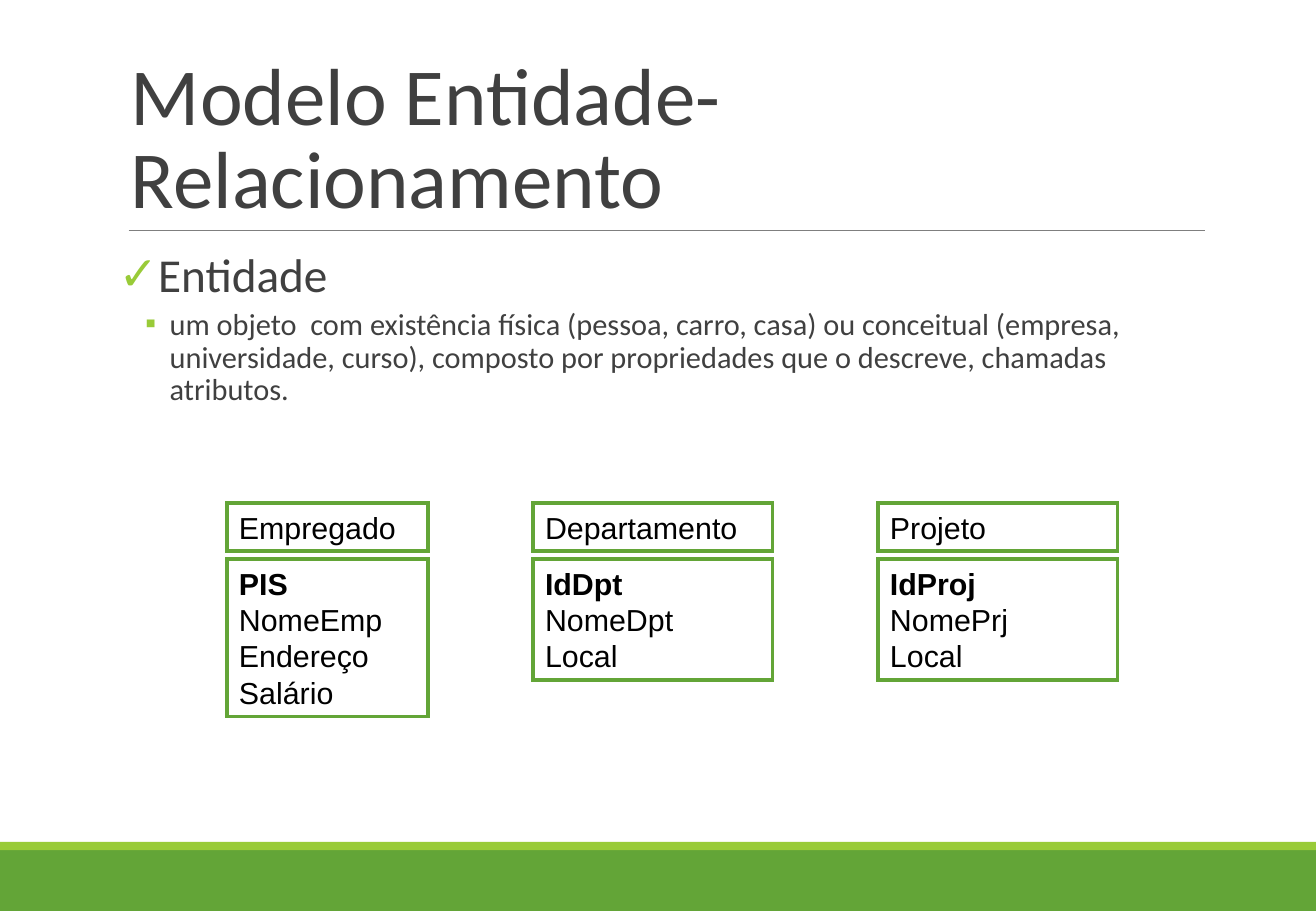
import pptx
import pptx.util
from lxml import etree
from pptx.dml.color import RGBColor
from pptx.enum.shapes import MSO_CONNECTOR, MSO_SHAPE
from pptx.enum.text import MSO_ANCHOR, PP_ALIGN
from pptx.oxml.ns import qn

Pt = pptx.util.Pt

COLORS = {
    "green": "63A537",
    "lime": "99CB38",
    "rule": "7F7F7F",
    "text": "404040",
    "black": "000000",
}
PAGE_WIDTH, PAGE_HEIGHT = 780.13, 540
HEADER_TOP, ATTRIBUTES_TOP = 298, 331.2
LINE_PITCH, INSET_X, INSET_Y = 21.6, 7.2, 3.6

# Left, width, name and attributes (key first) of each entity
ENTITIES = [
    (134.6, 119, "Empregado", ["PIS", "NomeEmp", "Endereço", "Salário"]),
    (316, 142, "Departamento", ["IdDpt", "NomeDpt", "Local"]),
    (520.5, 142, "Projeto", ["IdProj", "NomePrj", "Local"]),
]


def color(name):
    return RGBColor.from_string(COLORS[name])


def set_font(paragraph, name, size, color_name, bold=False):
    font = paragraph.font
    font.name = name
    font.size = Pt(size)
    font.bold = bold
    font.color.rgb = color(color_name)


def set_frame(shape, inset_x, inset_y, anchor=MSO_ANCHOR.TOP):
    frame = shape.text_frame
    frame.word_wrap = True
    frame.vertical_anchor = anchor
    frame.margin_left = frame.margin_right = Pt(inset_x)
    frame.margin_top = frame.margin_bottom = Pt(inset_y)
    return frame


def place(shape, left, top, width, height):
    shape.left, shape.top = Pt(left), Pt(top)
    shape.width, shape.height = Pt(width), Pt(height)


def add_band(page, top, height, color_name):
    band = page.shapes.add_shape(
        MSO_SHAPE.RECTANGLE, 0, Pt(top), Pt(PAGE_WIDTH), Pt(height))
    band.shadow.inherit = False
    band.fill.solid()
    band.fill.fore_color.rgb = color(color_name)
    band.line.fill.background()


def add_rule(page, left, right, top):
    rule = page.shapes.add_connector(
        MSO_CONNECTOR.STRAIGHT, Pt(left), Pt(top), Pt(right), Pt(top))
    rule.line.color.rgb = color("rule")
    rule.line.width = Pt(0.5)
    etree.SubElement(rule._element.spPr, qn("a:effectLst"))


def set_title(page, text):
    title = page.shapes.title
    place(title, 70.4, 22.3, 665.3, 114.5)
    frame = set_frame(title, INSET_X, INSET_Y, MSO_ANCHOR.BOTTOM)
    frame.text = text
    paragraph = frame.paragraphs[0]
    paragraph.alignment = PP_ALIGN.LEFT
    paragraph.line_spacing = 0.85
    set_font(paragraph, "Calibri", 48, "text")


def set_bullet(paragraph, symbol, left, hanging):
    properties = paragraph._p.get_or_add_pPr()
    properties.set("marL", str(Pt(left)))
    properties.set("indent", str(-Pt(hanging)))
    bullet_color = etree.SubElement(properties, qn("a:buClr"))
    etree.SubElement(bullet_color, qn("a:srgbClr"), val=COLORS["lime"])
    etree.SubElement(properties, qn("a:buFont"), typeface="Calibri")
    etree.SubElement(properties, qn("a:buChar"), char=symbol)


def add_bullet_item(paragraph, text, symbol, left, hanging, size, after):
    paragraph.text = text
    set_bullet(paragraph, symbol, left, hanging)
    paragraph.line_spacing = 0.9
    paragraph.space_after = Pt(after)
    set_font(paragraph, "Calibri", size, "text")


def add_definition(page, term, meaning):
    box = page.shapes.add_textbox(Pt(70.4), Pt(145.4), Pt(643.7), Pt(316.8))
    frame = set_frame(box, 0, INSET_Y)
    add_bullet_item(frame.paragraphs[0], term, "✓", 7.2, 7.2, 28, 2)
    detail = frame.add_paragraph()
    detail.level = 1
    add_bullet_item(detail, meaning, "▪", 30.2, 14.4, 18, 4)
    detail.space_before = Pt(2)


def add_entity_box(group, left, top, width, lines, bold_first=False):
    height = len(lines) * LINE_PITCH + 2 * INSET_Y
    box = group.shapes.add_shape(
        MSO_SHAPE.RECTANGLE, Pt(left), Pt(top), Pt(width), Pt(height))
    box.shadow.inherit = False
    box.fill.background()
    box.line.color.rgb = color("green")
    box.line.width = Pt(2.25)
    etree.SubElement(box.line._get_or_add_ln(), qn("a:miter"), lim="800000")
    frame = set_frame(box, INSET_X, INSET_Y)
    frame.text = "\n".join(lines)
    for index, paragraph in enumerate(frame.paragraphs):
        paragraph.alignment = PP_ALIGN.LEFT
        paragraph.line_spacing = Pt(LINE_PITCH)
        set_font(paragraph, "Arial", 18, "black", bold_first and index == 0)


def add_entity(page, left, width, name, attributes):
    group = page.shapes.add_group_shape()
    add_entity_box(group, left, HEADER_TOP, width, [name])
    add_entity_box(group, left, ATTRIBUTES_TOP, width, attributes, True)


def main():
    deck = pptx.Presentation()
    deck.slide_width, deck.slide_height = Pt(PAGE_WIDTH), Pt(PAGE_HEIGHT)
    page = deck.slides.add_slide(deck.slide_layouts[5])

    # Footer bands and rule under the title
    add_band(page, 504, 36, "green")
    add_band(page, 499, 5, "lime")
    add_rule(page, 76.3, 714.2, 136.8)

    # Title and definition
    set_title(page, "Modelo Entidade-Relacionamento")
    add_definition(
        page, "Entidade",
        "um objeto  com existência física (pessoa, carro, casa) ou conceitual "
        "(empresa, universidade, curso), composto por propriedades que o "
        "descreve, chamadas atributos.")

    # Example entities
    for entity in ENTITIES:
        add_entity(page, *entity)

    deck.save("out.pptx")


if __name__ == "__main__":
    main()
